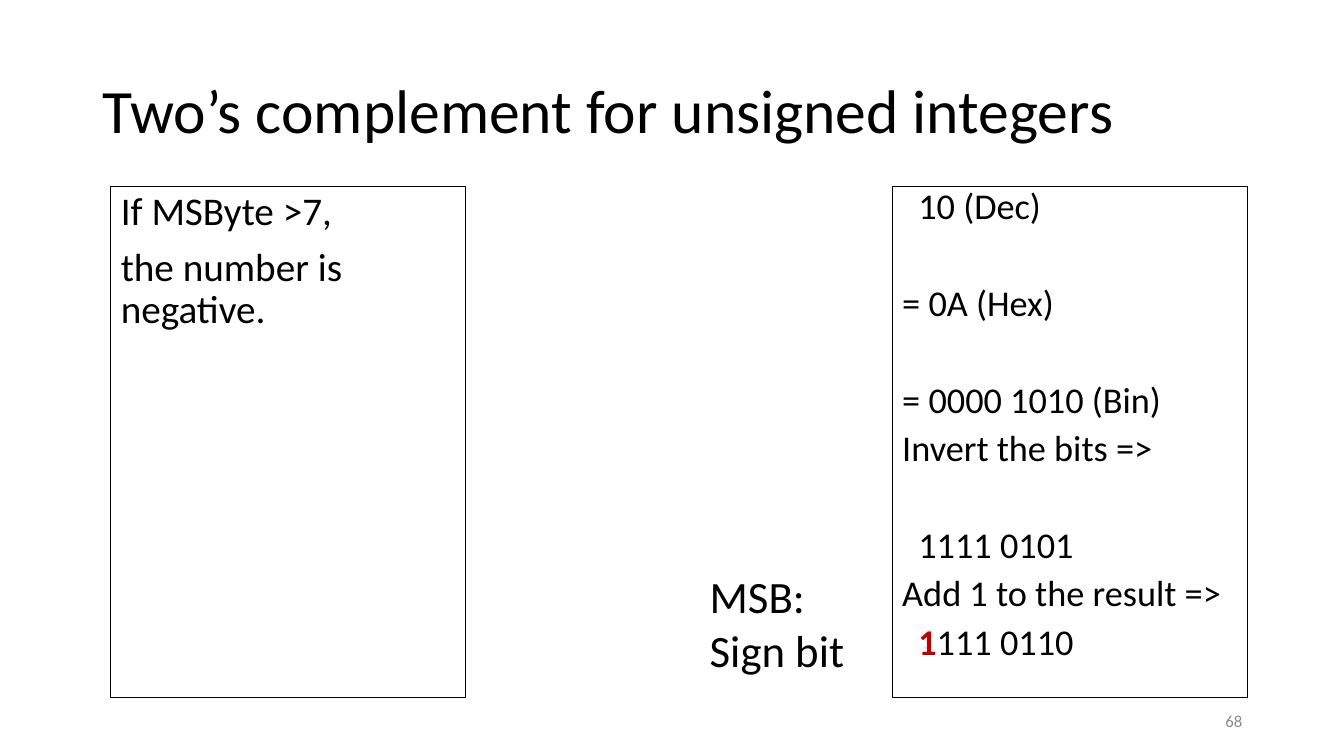
"""Build the slide on two's complement for unsigned integers."""
from pptx import Presentation
from pptx.dml.color import RGBColor
from pptx.enum import shapes, text
from pptx.util import Inches, Pt

BLACK = RGBColor(0x00, 0x00, 0x00)
RED = RGBColor(0xC0, 0x00, 0x00)
GRAY = RGBColor(0x8C, 0x8C, 0x8C)
FONT = "Calibri"

TITLE = "Two’s complement for unsigned integers"
RULE = ["If MSByte >7,", "the number is negative."]
SIGN_LABEL = ["MSB:", "Sign bit"]
PAGE = "68"
NEAR, FAR = 9.6, 44.4
STEPS = [
    ("10 (Dec)", 0, True),
    ("= 0A (Hex)", FAR, False),
    ("= 0000 1010 (Bin)", FAR, False),
    ("Invert the bits =>", NEAR, False),
    ("1111 0101", FAR, True),
    ("Add 1 to the result =>", NEAR, False),
]
SIGN_BIT, OTHER_BITS = "1", "111 0110"
STEP_INDENT = Inches(0.16)
PANEL_TOP, PANEL_WIDTH, PANEL_HEIGHT = Inches(1.85), Inches(3.52), Inches(5.07)


def add_run(paragraph, words, size, color=BLACK, bold=False):
    """Add one formatted run."""
    run = paragraph.add_run()
    run.text = words
    run.font.name = FONT
    run.font.size = Pt(size)
    run.font.bold = bold
    run.font.color.rgb = color


def add_line(frame, spacing=1.0, before=0, indent=0, align=text.PP_ALIGN.LEFT):
    """Return the next paragraph, reusing the empty first one."""
    first = frame.paragraphs[0]
    paragraph = frame.add_paragraph() if first.runs else first
    paragraph.alignment = align
    paragraph.line_spacing = spacing
    paragraph.space_before = Pt(before)
    if indent:
        paragraph._p.get_or_add_pPr().set("marL", str(indent))
    return paragraph


def add_panel(slide, left):
    """Add an outlined panel and return its text frame."""
    panel = slide.shapes.add_shape(
        shapes.MSO_SHAPE.RECTANGLE, Inches(left), PANEL_TOP, PANEL_WIDTH, PANEL_HEIGHT)
    panel.shadow.inherit = False
    panel.fill.background()
    panel.line.color.rgb = BLACK
    panel.line.width = Pt(0.75)
    panel.text_frame.word_wrap = True
    panel.text_frame.vertical_anchor = text.MSO_ANCHOR.TOP
    return panel.text_frame


def main():
    """Lay out the slide and save it."""
    deck = Presentation()
    deck.slide_width, deck.slide_height = Inches(13.33), Inches(7.5)
    slide = deck.slides.add_slide(deck.slide_layouts[5])

    title = slide.shapes.title
    title.left, title.top = Inches(0.92), Inches(0.4)
    title.width, title.height = Inches(11.5), Inches(1.45)
    title.text_frame.auto_size = text.MSO_AUTO_SIZE.NONE
    title.text_frame.vertical_anchor = text.MSO_ANCHOR.MIDDLE
    add_run(add_line(title.text_frame, 0.9), TITLE, 44)

    rule = add_panel(slide, 1.1)
    for index, words in enumerate(RULE):
        add_run(add_line(rule, 0.9, 10 if index else 0), words, 28)

    steps = add_panel(slide, 8.85)
    for words, before, indented in STEPS:
        add_run(add_line(steps, 0.8, before, STEP_INDENT if indented else 0), words, 25.9)
    answer = add_line(steps, 0.8, NEAR, STEP_INDENT)
    add_run(answer, SIGN_BIT, 25.9, RED, True)
    add_run(answer, OTHER_BITS, 25.9)

    sign = slide.shapes.add_textbox(
        Inches(6.94), Inches(5.59), Inches(1.55), Inches(1.18)).text_frame
    sign.word_wrap = False
    sign.auto_size = text.MSO_AUTO_SIZE.SHAPE_TO_FIT_TEXT
    for words in SIGN_LABEL:
        add_run(add_line(sign), words, 32)

    page = slide.shapes.add_textbox(
        Inches(9.42), Inches(6.95), Inches(3), Inches(0.4)).text_frame
    page.word_wrap = True
    page.vertical_anchor = text.MSO_ANCHOR.MIDDLE
    add_run(add_line(page, align=text.PP_ALIGN.RIGHT), PAGE, 12, GRAY)

    deck.save("out.pptx")


if __name__ == "__main__":
    main()
